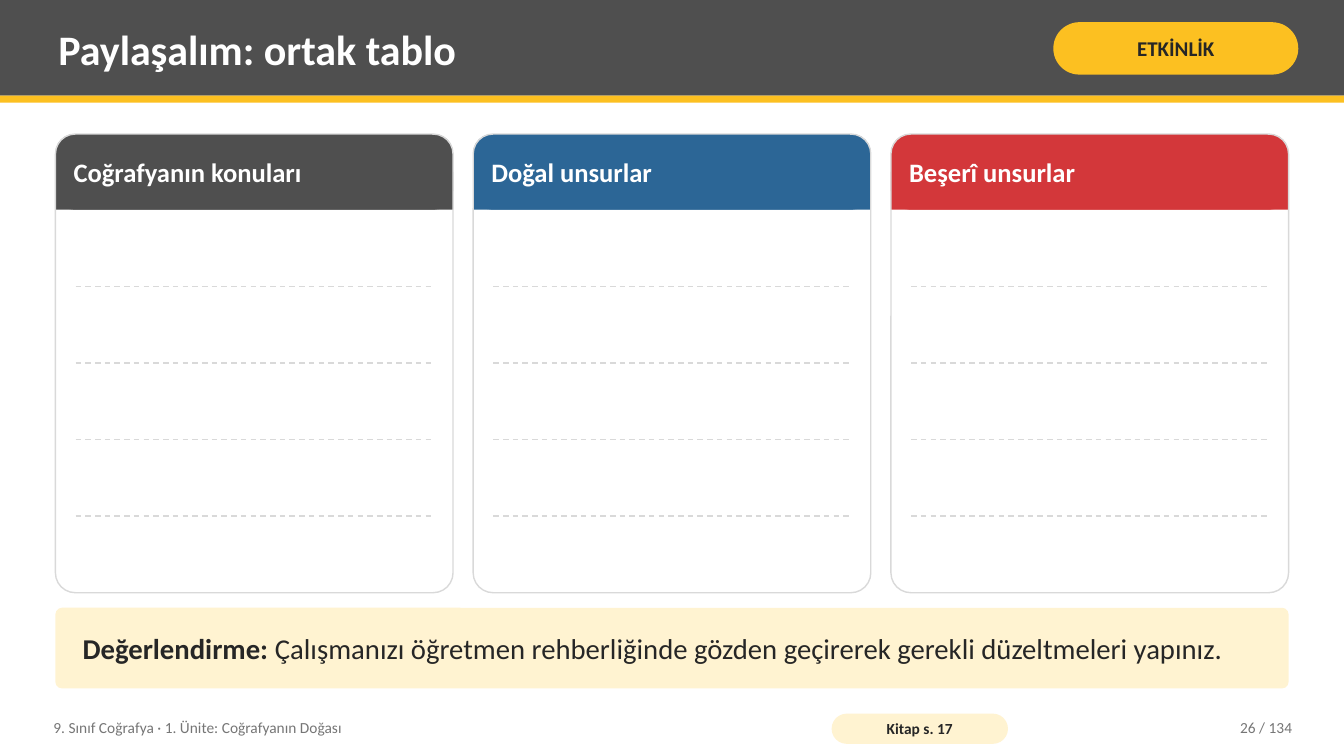
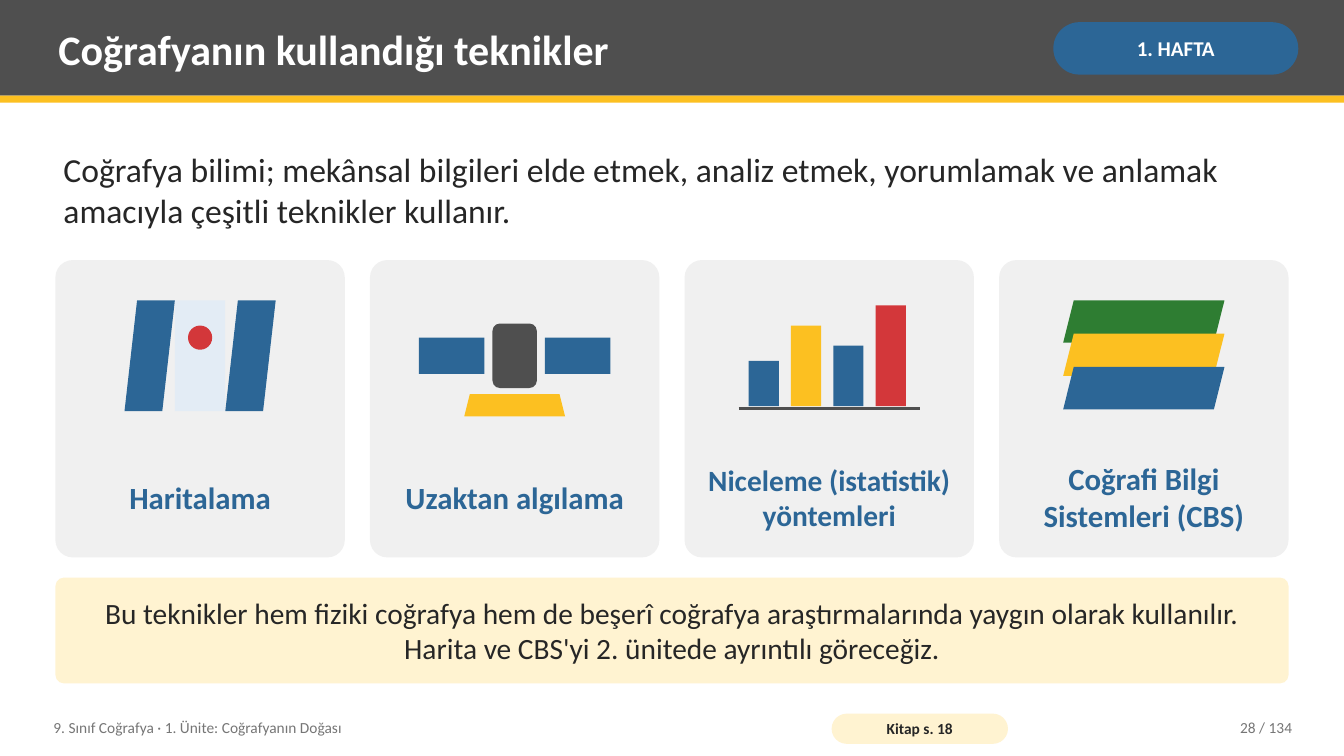
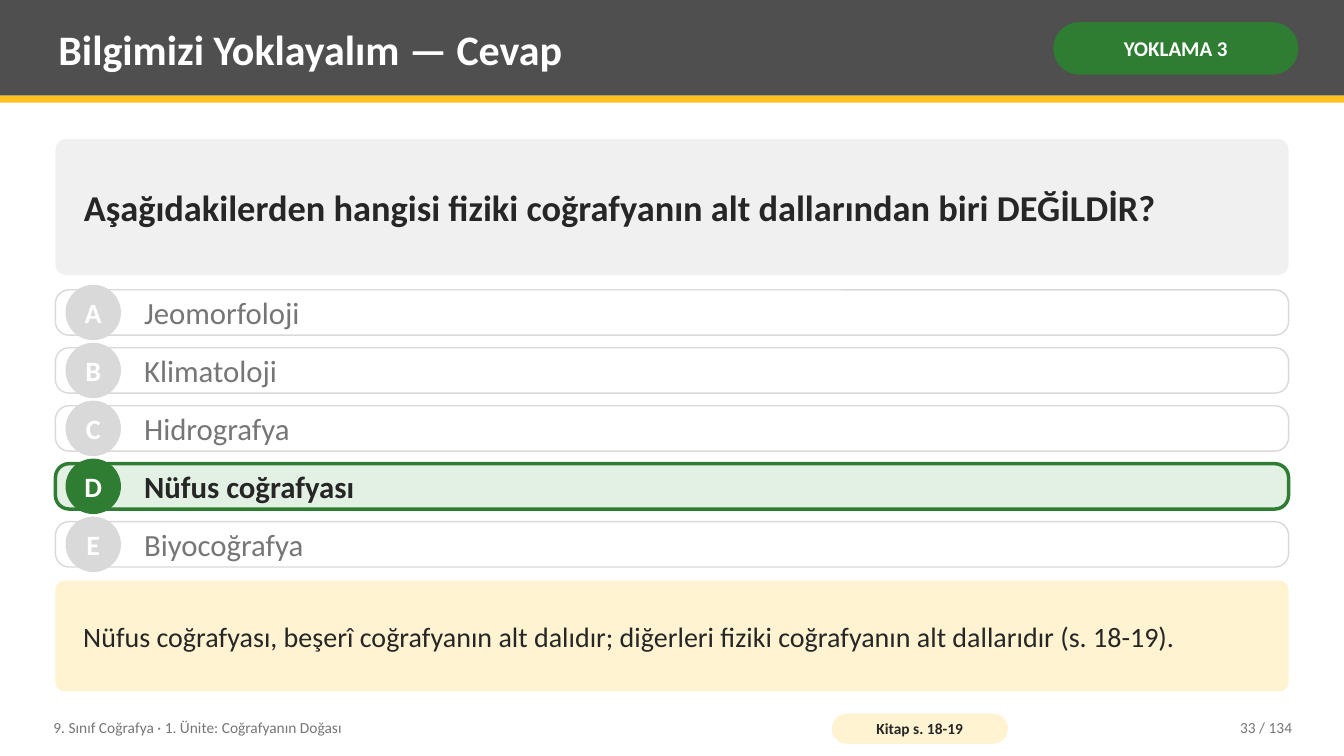
from lxml.etree import SubElement
from pptx import Presentation
from pptx.dml.color import RGBColor
from pptx.enum.dml import MSO_LINE
from pptx.enum.shapes import MSO_CONNECTOR, MSO_SHAPE
from pptx.enum.text import MSO_ANCHOR, PP_ALIGN
from pptx.oxml.ns import qn
from pptx.util import Pt

HUES = {
    "gray": "4F4F4F", "gold": "FCC021", "blue": "2C6696", "red": "D3373A",
    "green": "2E7D32", "mint": "E3F1E4", "cream": "FFF3D1", "sky": "E3ECF5",
    "pale": "F0F0F0", "rule": "D9D9D9", "mute": "767676", "ink": "262626",
    "white": "FFFFFF",
}
RGB = {name: RGBColor.from_string(code) for name, code in HUES.items()}
RECT, ROUND, OVAL = MSO_SHAPE.RECTANGLE, MSO_SHAPE.ROUNDED_RECTANGLE, MSO_SHAPE.OVAL
SLANT, TRAP = MSO_SHAPE.PARALLELOGRAM, MSO_SHAPE.TRAPEZOID
LEFT, MID, RIGHT = PP_ALIGN.LEFT, PP_ALIGN.CENTER, PP_ALIGN.RIGHT
EDGE, FULL = 39.6, 880.8


def draw(page, kind, box, fill=None, adj=None, line=None, width=1):
    sizes = [Pt(size) for size in box]
    if kind is None:
        return page.shapes.add_textbox(*sizes)
    shape = page.shapes.add_shape(kind, *sizes)
    shape.shadow.inherit = False
    if adj is not None:
        shape.adjustments[0] = adj
    if fill:
        shape.fill.solid()
        shape.fill.fore_color.rgb = RGB[fill]
    else:
        shape.fill.background()
    if line:
        shape.line.color.rgb = RGB[line]
        shape.line.width = Pt(width)
    else:
        shape.line.fill.background()
    return shape


def write(shape, text, size, hue="ink", bold=False, align=LEFT,
          pad=(5.76, 2.88), wrap=True, tail=""):
    frame = shape.text_frame
    frame.word_wrap = wrap
    frame.vertical_anchor = MSO_ANCHOR.MIDDLE
    frame.margin_left = frame.margin_right = Pt(pad[0])
    frame.margin_top = frame.margin_bottom = Pt(pad[1])
    para = frame.paragraphs[0]
    para.text = text
    para.alignment = align
    if tail:
        para.add_run().text = tail
    for run in para.runs:
        run.font.name = "Calibri"
        run.font.size = Pt(size)
        run.font.bold = bold and run.text != tail
        run.font.color.rgb = RGB[hue]


deck = Presentation()
deck.slide_width, deck.slide_height = Pt(960), Pt(540)

heads = [
    ("Paylaşalım: ortak tablo", "ETKİNLİK", "gold", "ink", "17", 26),
    ("Coğrafyanın kullandığı teknikler", "1. HAFTA", "blue", "white", "18", 28),
    ("Bilgimizi Yoklayalım — Cevap", "YOKLAMA 3", "green", "white", "18-19", 33),
]
pages = []
for title, tag, fill, hue, leaf, num in heads:
    page = deck.slides.add_slide(deck.slide_layouts[6])
    pages.append(page)
    draw(page, RECT, (0, 0, 960, 68.4), "gray")
    draw(page, RECT, (0, 68.4, 960, 5.04), "gold")
    write(draw(page, None, (36, 5.04, 702, 59.04)), title, 30, "white", True)
    badge = draw(page, ROUND, (752.4, 15.84, 175, 37.44), fill, 0.5)
    write(badge, tag, 15, hue, True, MID, (3.6, 1.44))
    write(draw(page, None, (32.4, 506.88, 547.2, 25.92)),
          "9. Sınıf Coğrafya · 1. Ünite: Coğrafyanın Doğası", 11, "mute")
    pill = draw(page, ROUND, (594, 509.76, 126, 21.6), "cream", 0.5)
    write(pill, f"Kitap s. {leaf}", 11, "ink", True, MID, (2.88, 0))
    write(draw(page, None, (813.6, 506.88, 115.2, 25.92)),
          f"{num} / 134", 11, "mute", align=RIGHT)
share, tools, quiz = pages
rules = []

gap, top, tall, head = 14.4, 95.76, 327.6, 54
wide = (FULL - 2 * gap) / 3
step = (tall - head) / 5
cols = [("Coğrafyanın konuları", "gray"), ("Doğal unsurlar", "blue"),
        ("Beşerî unsurlar", "red")]
for col, (text, hue) in enumerate(cols):
    x = EDGE + col * (wide + gap)
    draw(share, ROUND, (x, top, wide, tall), "white", 0.05)
    draw(share, ROUND, (x, top, wide, head), hue, 0.25)
    draw(share, RECT, (x, top + head / 2, wide, head / 2), hue)
    write(draw(share, None, (x + 7.2, top, wide - 14.4, head)),
          text, 19, "white", True)
    draw(share, ROUND, (x, top, wide, tall), None, 0.05, "rule")
    for row in range(1, 5):
        rules.append((share, x + 14.4, x + wide - 14.4,
                      top + head + row * step, "rule", 1, MSO_LINE.DASH))
note = draw(share, ROUND, (EDGE, 434.16, FULL, 57.6), "cream", 0.08)
write(note, "Değerlendirme:", 20.5, bold=True, pad=(18, 5.76),
      tail=" Çalışmanızı öğretmen rehberliğinde gözden geçirerek gerekli düzeltmeleri yapınız.")

write(draw(tools, None, (EDGE, 95.76, FULL, 79.2)),
      "Coğrafya bilimi; mekânsal bilgileri elde etmek, analiz etmek, "
      "yorumlamak ve anlamak amacıyla çeşitli teknikler kullanır.", 24)
gap, top, base = 18, 185.76, 290.16
wide = (FULL - 3 * gap) / 4
bars = [("blue", 32.4), ("gold", 57.6), ("blue", 43.2), ("red", 72)]
fold = [(SLANT, "blue"), (RECT, "sky"), (SLANT, "blue")]
icons = [
    [(kind, -54 + 36 * i, 214.56, 36, 79.2, hue) for i, (kind, hue) in enumerate(fold)]
    + [(OVAL, -8.64, 232.56, 17.28, 17.28, "red")],
    [(ROUND, -15.84, 231.12, 31.68, 46.08, "gray"),
     (RECT, -68.4, 241.2, 46.8, 25.92, "blue"),
     (RECT, 21.6, 241.2, 46.8, 25.92, "blue"),
     (TRAP, -36, 281.52, 72, 15.84, "gold")],
    [(RECT, -57.6 + 30.24 * i, base - high, 21.6, high, hue)
     for i, (hue, high) in enumerate(bars)],
    [(SLANT, -57.6, 214.56 + 23.76 * i, 115.2, 30.24, hue)
     for i, hue in enumerate(["green", "gold", "blue"])],
]
names = [("Haritalama", 22), ("Uzaktan algılama", 22),
         ("Niceleme (istatistik) yöntemleri", 21),
         ("Coğrafi Bilgi Sistemleri (CBS)", 22)]
for col, ((name, size), icon) in enumerate(zip(names, icons)):
    x = EDGE + col * (wide + gap)
    mid = x + wide / 2
    draw(tools, ROUND, (x, top, wide, 212.4), "pale", 0.06)
    for kind, dx, y, w, h, hue in icon:
        draw(tools, kind, (mid + dx, y, w, h), hue)
    write(draw(tools, None, (x + 7.2, 318.96, wide - 14.4, 72)),
          name, size, "blue", True, MID)
mid = EDGE + 2 * (wide + gap) + wide / 2
rules.append((tools, mid - 64.8, mid + 64.8, 291.6, "gray", 2, None))
note = draw(tools, ROUND, (EDGE, 412.56, FULL, 75.6), "cream", 0.08)
write(note, "Bu teknikler hem fiziki coğrafya hem de beşerî coğrafya "
      "araştırmalarında yaygın olarak kullanılır. Harita ve CBS'yi 2. ünitede "
      "ayrıntılı göreceğiz.", 21, align=MID, pad=(10.08, 5.76))

ask = draw(quiz, ROUND, (EDGE, 99.36, FULL, 97.2), "pale", 0.08)
write(ask, "Aşağıdakilerden hangisi fiziki coğrafyanın alt dallarından biri DEĞİLDİR?",
      26, bold=True, pad=(18, 5.76))
picks = ["Jeomorfoloji", "Klimatoloji", "Hidrografya", "Nüfus coğrafyası",
         "Biyocoğrafya"]
for row, (mark, text) in enumerate(zip("ABCDE", picks)):
    y = 207 + 41.4 * row
    right = mark == "D"
    hue = "green" if right else "rule"
    draw(quiz, ROUND, (EDGE, y, FULL, 32.4), "mint" if right else "white",
         0.3, hue, 2.5 if right else 1)
    dot = draw(quiz, OVAL, (46.8, y - 3.6, 39.6, 39.6), hue)
    write(dot, mark, 20, "white", True, MID, (0, 0), False)
    write(draw(quiz, None, (97.2, y, 808.8, 32.4)), text, 22,
          "ink" if right else "mute", right)
note = draw(quiz, ROUND, (EDGE, 414.72, FULL, 79.2), "cream", 0.08)
write(note, "Nüfus coğrafyası, beşerî coğrafyanın alt dalıdır; diğerleri "
      "fiziki coğrafyanın alt dallarıdır (s. 18-19).", 20, pad=(18, 5.76))

for page, start, end, y, hue, width, dash in rules:
    rule = page.shapes.add_connector(MSO_CONNECTOR.STRAIGHT, Pt(start), Pt(y), Pt(end), Pt(y))
    rule.line.color.rgb = RGB[hue]
    rule.line.width = Pt(width)
    if dash:
        rule.line.dash_style = dash
    SubElement(rule._element.spPr, qn("a:effectLst"))

deck.save("out.pptx")
